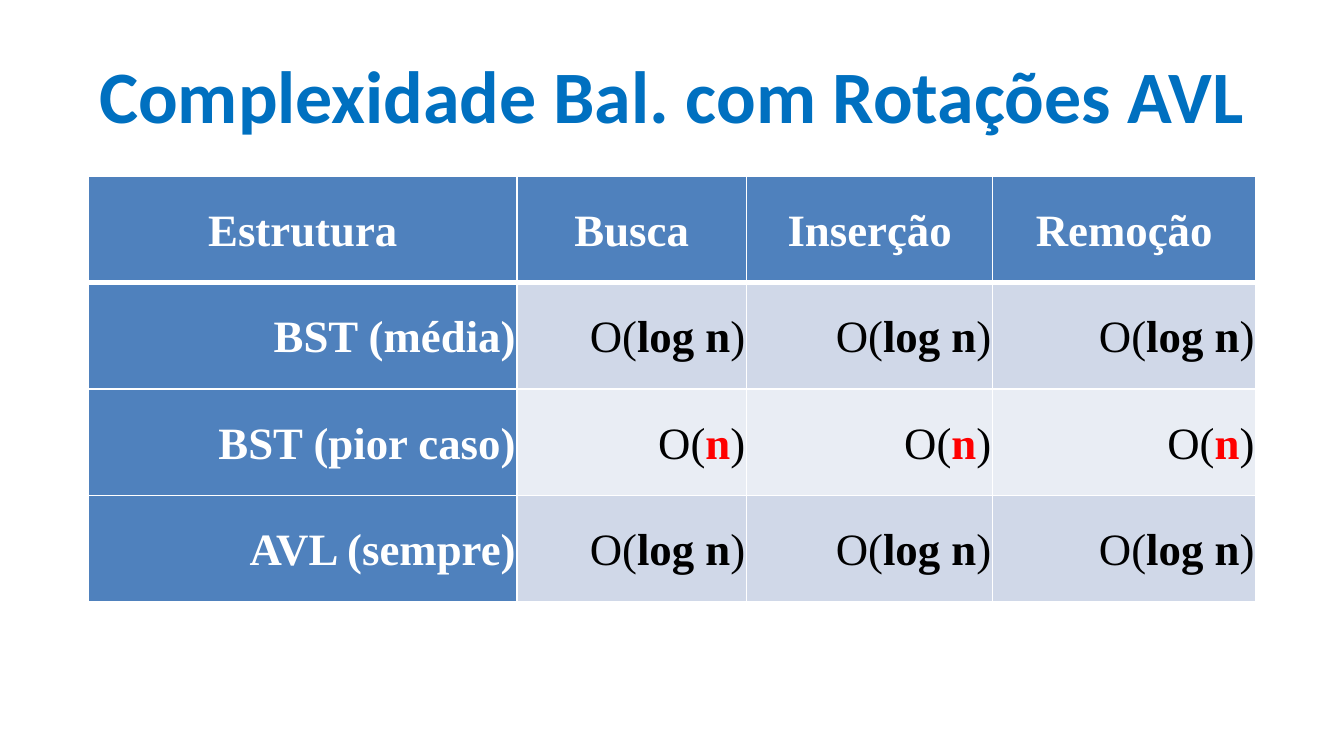
from lxml.etree import SubElement
from pptx import Presentation
from pptx.dml.color import RGBColor
from pptx.enum.text import MSO_ANCHOR, PP_ALIGN
from pptx.oxml.ns import qn
from pptx.util import Pt

COLORS = {
    "title": "0070C0",
    "head": "4F81BD",
    "band_dark": "D0D8E8",
    "band_light": "E9EDF4",
    "white": "FFFFFF",
    "black": "000000",
    "worst": "FF0000",
}
TITLE_FONT = {"name": "Calibri", "size": Pt(39.6), "bold": True}
CELL_FONT = {"name": "Times New Roman", "size": Pt(24)}
CELL_PARAGRAPH = {"line_spacing": 1.07, "space_after": Pt(8)}
CELL_FORMAT = {
    "vertical_anchor": MSO_ANCHOR.MIDDLE,
    "margin_left": Pt(0.75),
    "margin_right": Pt(0.75),
    "margin_top": Pt(0.75),
    "margin_bottom": Pt(0.75),
}

HEADERS = ["Estrutura", "Busca", "Inserção", "Remoção"]
# Structure, cost of every operation, cost colour, band
COSTS = [
    ("BST (média)", "log n", "black", "band_dark"),
    ("BST (pior caso)", "n", "worst", "band_light"),
    ("AVL (sempre)", "log n", "black", "band_dark"),
]
COL_WIDTHS = [229.4, 123.1, 131.8, 141]
ROW_HEIGHT = 57


def set_attrs(obj, values):
    for name, value in values.items():
        setattr(obj, name, value)


def add_run(p, text, color, font):
    r = p.add_run()
    r.text = text
    set_attrs(r.font, font)
    r.font.color.rgb = RGBColor.from_string(COLORS[color])


def add_title(s, text):
    sp = s.shapes.add_textbox(Pt(36), Pt(16.5), Pt(648), Pt(67.5))
    tf = sp.text_frame
    set_attrs(tf, {
        "word_wrap": True,
        "vertical_anchor": MSO_ANCHOR.MIDDLE,
        "margin_left": Pt(3.6),
        "margin_right": Pt(3.6),
        "margin_top": Pt(3.6),
        "margin_bottom": Pt(3.6),
    })
    p = tf.paragraphs[0]
    p.alignment = PP_ALIGN.CENTER
    add_run(p, text, "title", TITLE_FONT)


def set_borders(cell, top=1, bottom=1):
    tc_pr = cell._tc.get_or_add_tcPr()
    for side, width in (("L", 1), ("R", 1), ("T", top), ("B", bottom)):
        ln = SubElement(tc_pr, qn(f"a:ln{side}"), w=str(Pt(width)))
        fill = SubElement(ln, qn("a:solidFill"))
        SubElement(fill, qn("a:srgbClr"), val=COLORS["white"])


def fill_cell(cell, runs, fill, align, **borders):
    """Write runs of (text, color, bold) into a bordered, filled cell."""
    set_attrs(cell, CELL_FORMAT)
    set_borders(cell, **borders)
    cell.fill.solid()
    cell.fill.fore_color.rgb = RGBColor.from_string(COLORS[fill])
    p = cell.text_frame.paragraphs[0]
    set_attrs(p, {**CELL_PARAGRAPH, "alignment": align})
    for text, color, bold in runs:
        add_run(p, text, color, {**CELL_FONT, "bold": bold})


def add_cost_table(s):
    n_rows, n_cols = len(COSTS) + 1, len(HEADERS)
    table = s.shapes.add_table(n_rows, n_cols, Pt(47.5), Pt(94.5),
                               Pt(sum(COL_WIDTHS)), Pt(ROW_HEIGHT * n_rows)).table
    for column, width in zip(table.columns, COL_WIDTHS):
        column.width = Pt(width)
    for row in table.rows:
        row.height = Pt(ROW_HEIGHT)

    # Header row, with a thick rule below
    for col, text in enumerate(HEADERS):
        fill_cell(table.cell(0, col), [(text, "white", True)], "head",
                  PP_ALIGN.CENTER, bottom=3)

    # One row per structure
    for row, (name, cost, color, band) in enumerate(COSTS, start=1):
        top = 3 if row == 1 else 1
        fill_cell(table.cell(row, 0), [(name, "white", True)], "head",
                  PP_ALIGN.RIGHT, top=top)
        runs = [("O(", "black", False), (cost, color, True), (")", "black", False)]
        for col in range(1, n_cols):
            fill_cell(table.cell(row, col), runs, band, PP_ALIGN.RIGHT, top=top)


def main():
    prs = Presentation()
    prs.slide_width, prs.slide_height = Pt(720), Pt(405)
    s = prs.slides.add_slide(prs.slide_layouts[6])
    add_title(s, "Complexidade Bal. com Rotações AVL")
    add_cost_table(s)
    prs.save("out.pptx")


if __name__ == "__main__":
    main()
